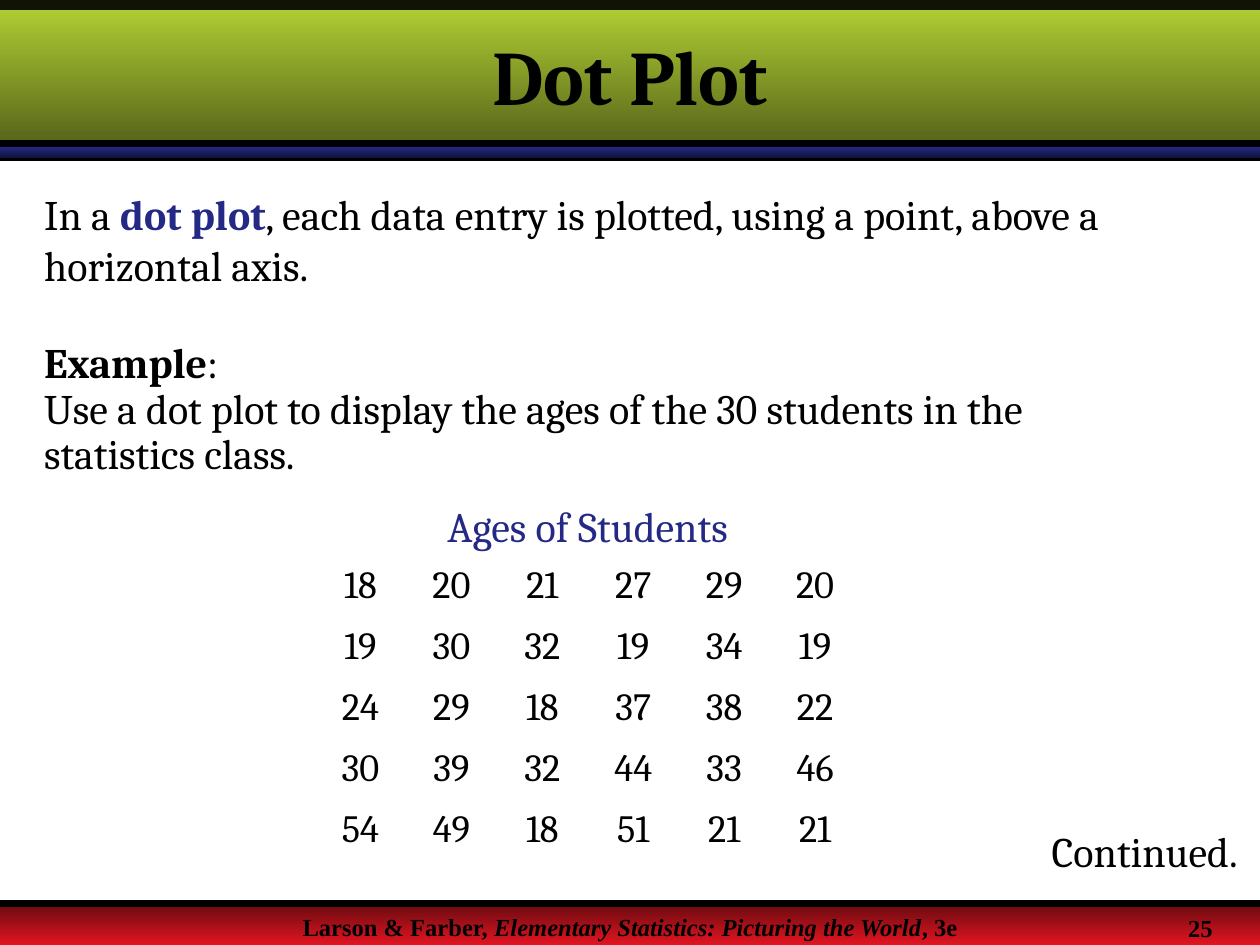
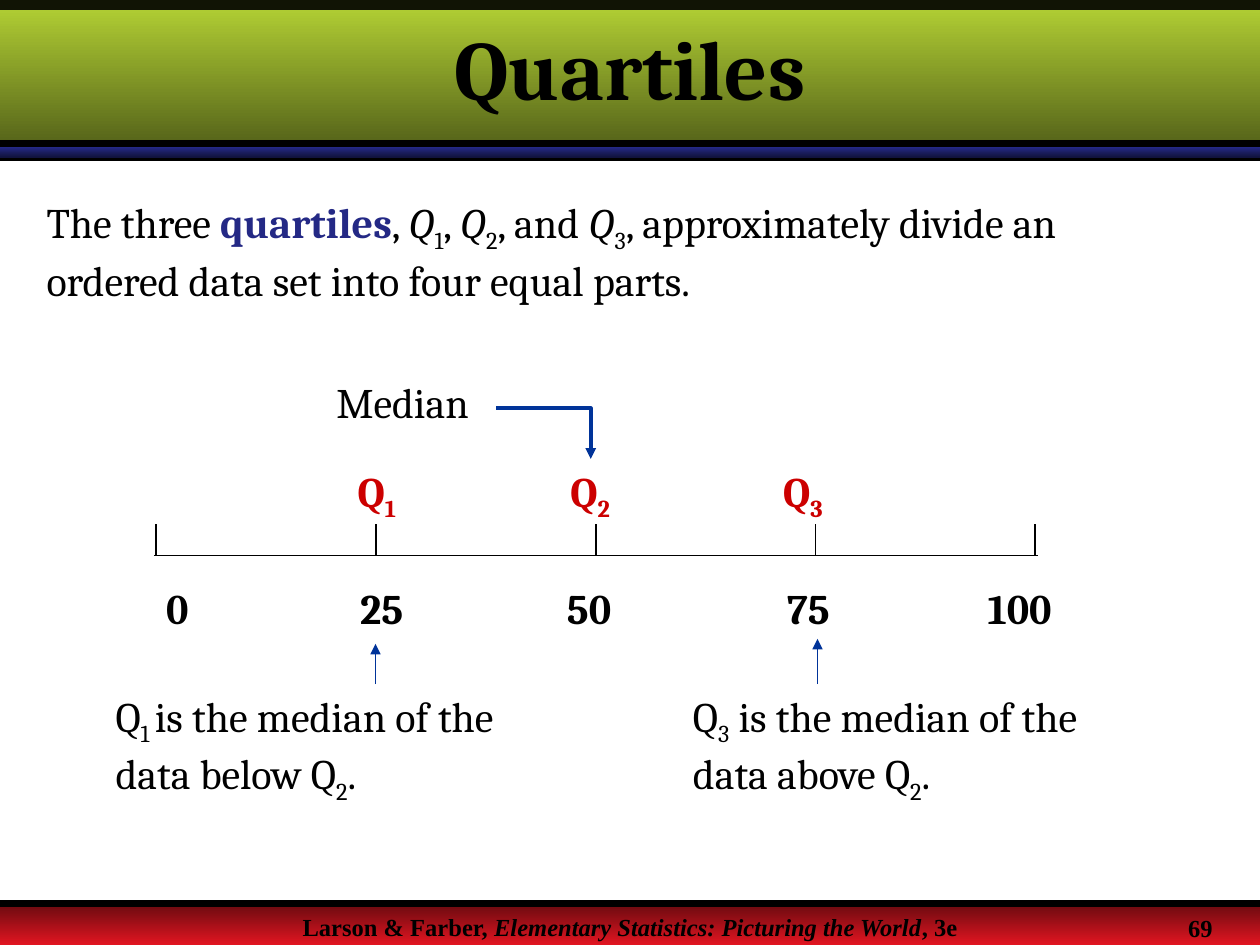
from lxml.etree import SubElement
from pptx import Presentation
from pptx.dml.color import RGBColor
from pptx.enum.shapes import MSO_CONNECTOR, MSO_SHAPE
from pptx.enum.text import MSO_ANCHOR, MSO_AUTO_SIZE, PP_ALIGN
from pptx.oxml.ns import qn
from pptx.util import Cm, Pt

WIDE, HIGH = 25.4, 19.05
BLACK, NAVY, BLUE, RED = "000000", "242985", "003399", "CC0000"
SERIF, TIMES = "Cambria", "Times New Roman"
CENTER, RIGHT = PP_ALIGN.CENTER, PP_ALIGN.RIGHT
AGES = [
    [18, 20, 21, 27, 29, 20],
    [19, 30, 32, 19, 34, 19],
    [24, 29, 18, 37, 38, 22],
    [30, 39, 32, 44, 33, 46],
    [54, 49, 18, 51, 21, 21],
]


def tint(color, code):
    """Set a colour from a hex string."""
    color.rgb = RGBColor.from_string(code)


def style(font, size, code=BLACK, face=SERIF, bold=False):
    """Format a font."""
    font.name, font.size, font.bold = face, Pt(size), bold
    tint(font.color, code)


def fill_line(para, runs, size=24, code=BLACK, face=SERIF):
    """Write runs of (text, flags): b bold, i italic, s subscript, n navy."""
    for text, flags in runs:
        run = para.add_run()
        run.text = text
        style(run.font, size, NAVY if "n" in flags else code, face, "b" in flags)
        run.font.italic = "i" in flags
        if "s" in flags:
            run._r.get_or_add_rPr().set("baseline", "-25000")


def write(slide, box, *lines, align=None, space=None, **look):
    """Add a wrapped text box with one paragraph for each list of runs."""
    frame = slide.shapes.add_textbox(*map(Cm, box)).text_frame
    frame.word_wrap = True
    for num, runs in enumerate(lines):
        para = frame.add_paragraph() if num else frame.paragraphs[0]
        para.alignment, para.line_spacing = align, space
        fill_line(para, runs, **look)


def stroke(shape, code, width, arrow=False):
    """Format an outline, with an arrowhead at its end if asked."""
    tint(shape.line.color, code)
    shape.line.width = Pt(width)
    if arrow:
        SubElement(shape.line._get_or_add_ln(), qn("a:tailEnd"), type="triangle")


def rule(slide, ends, code=BLACK, width=1, arrow=False):
    """Add a straight line from one point to another."""
    line = slide.shapes.add_connector(MSO_CONNECTOR.STRAIGHT, *map(Cm, ends))
    stroke(line, code, width, arrow)
    SubElement(line._element.spPr, qn("a:effectLst"))


def band(slide, top, high, *codes):
    """Add a full-width band, shaded downwards when given two colours."""
    shape = slide.shapes.add_shape(
        MSO_SHAPE.RECTANGLE, 0, Cm(top), Cm(WIDE), Cm(high))
    shape.shadow.inherit = False
    shape.line.fill.background()
    if len(codes) == 2:
        shape.fill.gradient()
        shape.fill.gradient_angle = 270
        for stop, code in zip(shape.fill.gradient_stops, codes):
            tint(stop.color, code)
    else:
        shape.fill.solid()
        tint(shape.fill.fore_color, codes[0])
        paint = shape._element.spPr.find(".//" + qn("a:srgbClr"))
        SubElement(paint, qn("a:alpha"), val="90000")


def decor(slide, page):
    """Add the bands, rules, footer and page number."""
    band(slide, 18.21, 0.84, "680A0F", "E11521")
    rule(slide, (0, 3.18, WIDE, 3.18), width=4)
    band(slide, 2.97, 0.2, NAVY, "11133E")
    band(slide, 0, 2.97, "B5D335", "546219")
    rule(slide, (0, 18.21, WIDE, 18.21), width=4)
    band(slide, 0, 0.2, BLACK)
    rule(slide, (0, 2.9, WIDE, 2.9), width=4)
    book = [("Larson & Farber, ", "b"),
            ("Elementary Statistics: Picturing the World", "bi"), (", 3e", "b")]
    write(slide, (0, 18.26, WIDE, 0.5), book, align=CENTER, size=14, face=TIMES)
    write(slide, (23.7, 18.29, 1.7, 0.76), [(page, "b")], size=14, face=TIMES)


def start(deck, text, page, box, size):
    """Add a slide with the shared decor and a title."""
    slide = deck.slides.add_slide(deck.slide_layouts[5])
    decor(slide, page)
    title = slide.shapes.title
    slide.shapes._spTree.append(title._element)
    title.left, title.top, title.width, title.height = map(Cm, box)
    frame = title.text_frame
    frame.text = text
    frame.auto_size = MSO_AUTO_SIZE.NONE
    frame.vertical_anchor = MSO_ANCHOR.MIDDLE
    frame.paragraphs[0].alignment = CENTER
    style(frame.paragraphs[0].runs[0].font, size, bold=True)
    return slide


def age_grid(slide, left, top, wide, high):
    """Add the ages table with its caption above."""
    write(slide, (left + 1.47, top - 1.27, 8.05, 1.27),
          [("Ages of Students", "n")], align=CENTER)
    table = slide.shapes.add_table(
        len(AGES), len(AGES[0]), *map(Cm, (left, top, wide, high))).table
    table.first_row = table.horz_banding = False
    for row, ages in enumerate(AGES):
        for col, age in enumerate(ages):
            cell = table.cell(row, col)
            cell.fill.background()
            cell.text = str(age)
            para = cell.text_frame.paragraphs[0]
            para.alignment = CENTER
            style(para.runs[0].font, 22)


def median(slide, left, top):
    """Add the median label and its bent arrow."""
    write(slide, (left, top, 4.65, 1.27), [("Median", "")])
    path_x, path_y = left + 3.47, top + 0.76
    pen = slide.shapes.build_freeform(Cm(path_x), Cm(path_y))
    pen.add_line_segments([(Cm(path_x + 1.91), Cm(path_y)),
                           (Cm(path_x + 1.91), Cm(path_y + 1.02))], close=False)
    bend = pen.convert_to_shape()
    bend.shadow.inherit = False
    bend.fill.background()
    stroke(bend, BLUE, 2, arrow=True)


def axis(slide, left, top, wide):
    """Add the scale with its ticks, numbers and quartile marks."""
    rule(slide, (left, top, left + wide, top))
    shifts = [0, 3.91, 8.08, 12.52, 16.56]
    for num, shift in enumerate(shifts):
        tick = left + 0.05 + num * 4.43
        rule(slide, (tick, top, tick, top - 0.64))
        write(slide, (left + shift, top + 0.41, 2.4, 1.27),
              [(str(num * 25), "b")])
    for num in range(3):
        write(slide, (left + 3.86 + num * 4.29, top - 1.95, 2.06, 1.42),
              [("Q", "b"), (str(num + 1), "bs")], code=RED)


def note(slide, box, runs, shift, rise):
    """Add a quartile note and the arrow rising from its top edge."""
    left, top = box[:2]
    write(slide, box, runs + [("2", "s"), (".", "")])
    rule(slide, (left + shift, top, left + shift, top - rise), BLUE, 0.75, True)


def dot_plot(deck):
    """Build the dot plot slide."""
    slide = start(deck, "Dot Plot", "25", (0, 0.23, WIDE, 2.57), 44)
    write(slide, (0.64, 3.68, 23.29, 2.29),
          [("In a ", ""), ("dot plot", "bn"),
           (", each data entry is plotted, using a point, above a horizontal axis.", "")])
    write(slide, (0.64, 6.78, 23.29, 3), [("Example", "b"), (":", "")],
          [("Use a dot plot to display the ages of the 30 students in the "
            "statistics class.", "")], space=0.9)
    age_grid(slide, 6.35, 11.23, 11, 6.15)
    write(slide, (19.48, 16.51, 5.72, 1.27), [("Continued.", "")], align=RIGHT)


def quartiles(deck):
    """Build the quartiles slide."""
    slide = start(deck, "Quartiles", "69", (0, 0.3, WIDE, 2.11), 48)
    write(slide, (0.69, 3.84, 23.5, 2.44),
          [("The three ", ""), ("quartiles", "bn"), (", ", ""),
           ("Q", "i"), ("1", "s"), (", ", ""), ("Q", "i"), ("2", "s"),
           (", and ", ""), ("Q", "i"), ("3", "s"),
           (", approximately divide an ordered data set into four equal parts.", "")])
    median(slide, 6.53, 7.47)
    axis(slide, 3.1, 11.2, 17.83)
    note(slide, (2.08, 13.79, 9.53, 2.57),
         [("Q", ""), ("1 ", "s"), ("is the median of the data below Q", "")],
         5.49, 0.81)
    note(slide, (13.72, 13.79, 8.71, 2.57),
         [("Q", ""), ("3", "s"), (" is the median of the data above Q", "")],
         2.76, 0.91)


def main():
    """Build and save the deck."""
    deck = Presentation()
    deck.slide_width, deck.slide_height = Cm(WIDE), Cm(HIGH)
    dot_plot(deck)
    quartiles(deck)
    deck.save("out.pptx")


if __name__ == "__main__":
    main()
